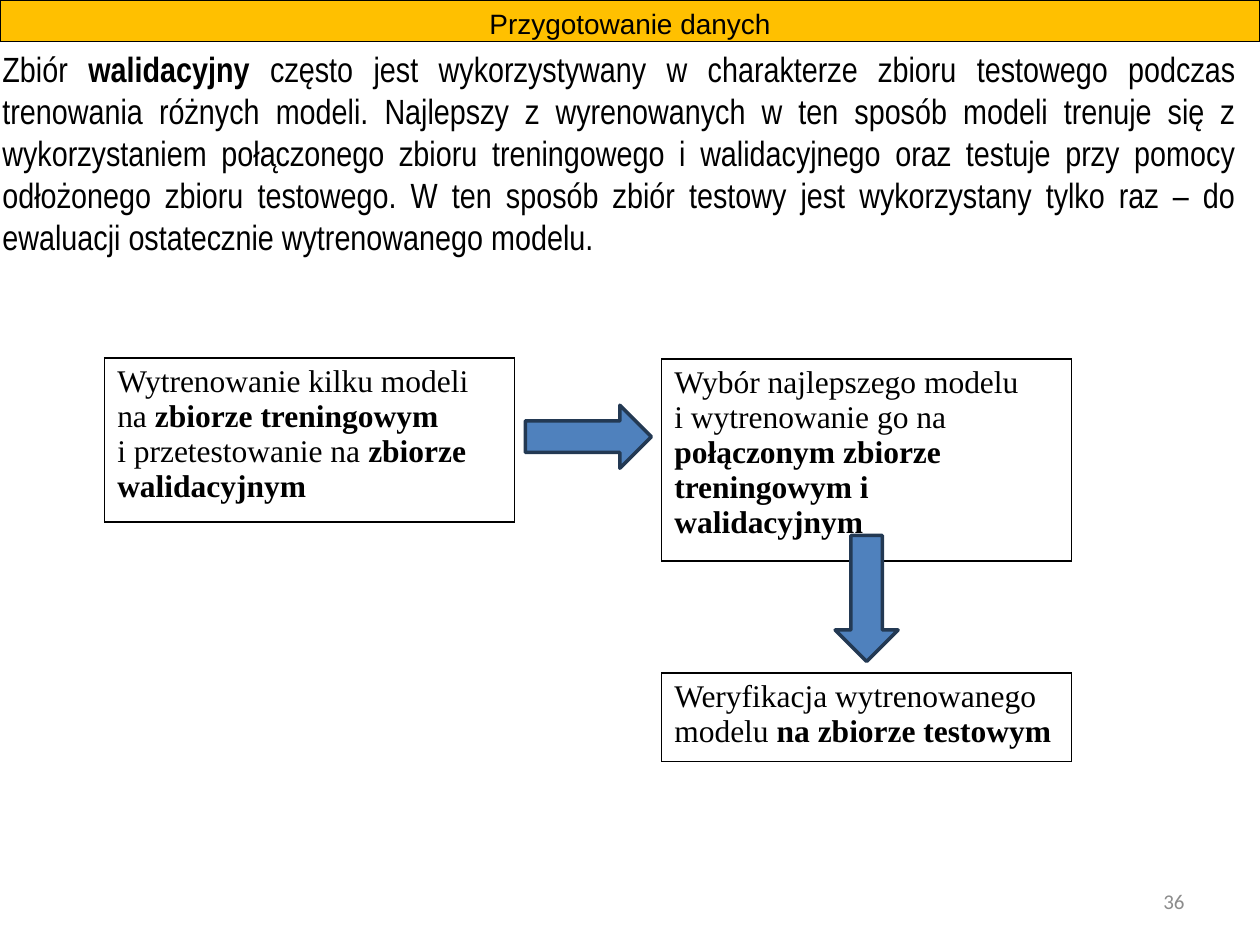
from dataclasses import dataclass

from lxml.etree import SubElement
from pptx import Presentation
from pptx.dml.color import RGBColor
from pptx.enum.shapes import MSO_SHAPE
from pptx.enum.text import MSO_ANCHOR, PP_ALIGN
from pptx.oxml.ns import qn
from pptx.util import Cm, Pt


@dataclass(frozen=True)
class Theme:
    black: str = "000000"
    grey: str = "8C8C8C"
    gold: str = "FFC000"
    blue: str = "4F81BD"
    navy: str = "233953"
    title: tuple = ("Arial", 16)
    body: tuple = ("Arial Narrow", 20)
    step: tuple = ("Times New Roman", 18)
    number: tuple = ("Calibri", 12)


class Page:
    def __init__(self, slide, theme):
        self.slide = slide
        self.theme = theme

    def add_runs(self, frame, runs, style, color, align=None):
        para = frame.paragraphs[0]
        para.alignment = align
        for text, bold in runs:
            if text == "\n":
                para.add_line_break()
                continue
            run = para.add_run()
            run.text = text
            font = run.font
            font.name, size = style
            font.size = Pt(size)
            font.bold = bold
            font.color.rgb = RGBColor.from_string(color)

    def text(self, box, runs, style, color, align, inset=None, anchor=MSO_ANCHOR.TOP):
        frame = self.slide.shapes.add_textbox(*map(Cm, box)).text_frame
        frame.word_wrap = True
        frame.vertical_anchor = anchor
        if inset is not None:
            frame.margin_left = frame.margin_right = Cm(inset)
            frame.margin_top = frame.margin_bottom = Cm(inset)
        self.add_runs(frame, runs, style, color, align)

    def shape(self, kind, box, fill, line, width):
        item = self.slide.shapes.add_shape(kind, *map(Cm, box))
        item.shadow.inherit = False
        item.fill.solid()
        item.fill.fore_color.rgb = RGBColor.from_string(fill)
        item.line.color.rgb = RGBColor.from_string(line)
        item.line.width = Pt(width)
        return item

    def banner(self, box, text):
        look = self.theme
        frame = self.shape(MSO_SHAPE.RECTANGLE, box, look.gold, look.black, 0.75).text_frame
        frame.vertical_anchor = MSO_ANCHOR.TOP
        self.add_runs(frame, [(text, False)], look.title, look.black, PP_ALIGN.CENTER)

    def arrow(self, left, top, turn=0):
        look = self.theme
        box = (left, top, 2.54, 1.27)
        self.shape(MSO_SHAPE.RIGHT_ARROW, box, look.blue, look.navy, 2).rotation = turn

    def step(self, left, top, height, runs):
        box = (left, top, 8.26, height)
        table = self.slide.shapes.add_table(1, 1, *map(Cm, box)).table
        table.first_row = table.horz_banding = False
        cell = table.cell(0, 0)
        props = cell._tc.get_or_add_tcPr()
        for side in ("lnL", "lnR", "lnT", "lnB"):
            edge = SubElement(props, qn(f"a:{side}"), w=str(Pt(1)))
            fill = SubElement(edge, qn("a:solidFill"))
            SubElement(fill, qn("a:srgbClr"), val=self.theme.black)
        cell.fill.background()
        self.add_runs(cell.text_frame, runs, self.theme.step, self.theme.black)


def main():
    deck = Presentation()
    deck.slide_width, deck.slide_height = Cm(25.4), Cm(19.05)
    look = Theme()
    page = Page(deck.slides.add_slide(deck.slide_layouts[6]), look)

    page.text((18.21, 17.65, 5.92, 1.02), [("36", False)], look.number, look.grey,
              PP_ALIGN.RIGHT, anchor=MSO_ANCHOR.MIDDLE)
    page.banner((0, 0, 25.4, 0.84), "Przygotowanie danych")
    page.text((0, 0.91, 24.97, 3.81), [
        ("Zbiór ", False),
        ("walidacyjny", True),
        (" często jest wykorzystywany w charakterze zbioru testowego podczas "
         "trenowania różnych modeli. Najlepszy z wyrenowanych w ten sposób modeli "
         "trenuje się z wykorzystaniem połączonego zbioru treningowego i "
         "walidacyjnego oraz testuje przy pomocy odłożonego zbioru testowego. "
         "W ten sposób zbiór testowy jest wykorzystany tylko raz – do ewaluacji "
         "ostatecznie wytrenowanego modelu.", False),
    ], look.body, look.black, PP_ALIGN.JUSTIFY, inset=0.05)

    right = 13.34
    page.step(2.11, 7.22, 3.22, [
        ("Wytrenowanie kilku modeli na ", False),
        ("zbiorze treningowym ", True),
        ("\n", False),
        ("i przetestowanie na ", False),
        ("zbiorze walidacyjnym", True),
    ])
    page.arrow(10.59, 8.17)
    page.step(right, 7.24, 3.76, [
        ("Wybór najlepszego modelu ", False),
        ("\n", False),
        ("i wytrenowanie go na ", False),
        ("połączonym zbiorze treningowym i walidacyjnym", True),
    ])
    page.step(right, 13.57, 1.65, [
        ("Weryfikacja wytrenowanego modelu ", False),
        ("na zbiorze testowym", True),
    ])
    page.arrow(16.2, 11.43, turn=90)
    deck.save("out.pptx")


if __name__ == "__main__":
    main()
